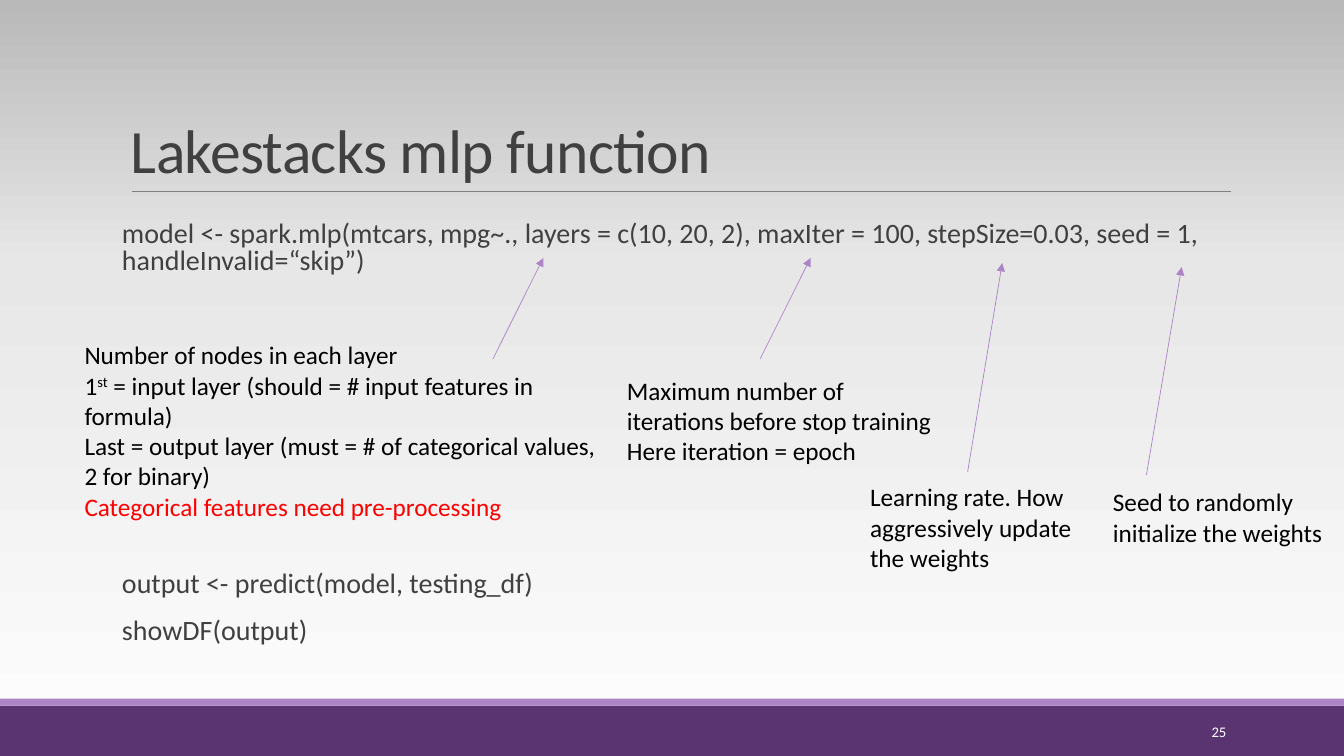
from copy import deepcopy

from lxml import etree
from pptx import Presentation
from pptx import util as u
from pptx.dml.color import RGBColor
from pptx.enum import shapes, text
from pptx.oxml import ns

WIDE, HIGH = u.Inches(13.33), u.Inches(7.5)
GREY, LILAC, PLUM = "404040", "AD84C6", "5A3471"
BLACK, RED, WHITE = "000000", "FF0000", "FFFFFF"


def tint(code):
    return RGBColor.from_string(code)


def across(share):
    """Length as a percentage of the slide's width."""
    return round(WIDE * share / 100)


def down(share):
    """Length as a percentage of the slide's height."""
    return round(HIGH * share / 100)


def place(left, top, width, height):
    return across(left), down(top), across(width), down(height)


def shade(slide, stops):
    """Fill the background with a gradient rising from the bottom edge."""
    fill = slide.background.fill
    fill.gradient()
    fill.gradient_angle = 90
    first = slide.element.find(".//" + ns.qn("a:gs"))
    for _ in stops[2:]:
        first.addnext(deepcopy(first))
    for stop, (spot, code) in zip(fill.gradient_stops, stops):
        stop.position = spot
        stop.color.rgb = tint(code)


def band(slide, top, height, code):
    bar = slide.shapes.add_shape(
        shapes.MSO_SHAPE.RECTANGLE, *place(0, top, 100, height))
    bar.shadow.inherit = False
    bar.fill.solid()
    bar.fill.fore_color.rgb = tint(code)
    bar.line.fill.background()


def line(slide, start, end, code, arrow=False):
    link = slide.shapes.add_connector(
        shapes.MSO_CONNECTOR.STRAIGHT, across(start[0]), down(start[1]),
        across(end[0]), down(end[1]))
    link.line.color.rgb = tint(code)
    link.line.width = u.Pt(0.5)
    if arrow:
        etree.SubElement(link.line._get_or_add_ln(), ns.qn("a:tailEnd"),
                         type="triangle")
    etree.SubElement(link._element.spPr, ns.qn("a:effectLst"))


def write(slide, box, lines, size, code, anchor="TOP", inset=0.1):
    """Add a text box; parts of a line between ^ marks are superscript."""
    frame = slide.shapes.add_textbox(*place(*box)).text_frame
    frame.word_wrap = True
    frame.vertical_anchor = text.MSO_ANCHOR[anchor]
    frame.margin_left = frame.margin_right = u.Inches(inset)
    for num, words in enumerate(lines):
        para = frame.add_paragraph() if num else frame.paragraphs[0]
        for part, piece in enumerate(words.split("^")):
            run = para.add_run()
            run.text = piece
            run.font.name = "Calibri"
            run.font.size = u.Pt(size)
            run.font.color.rgb = tint(code)
            if part % 2:
                run.font._element.set("baseline", "30000")
    return frame


def title(slide, words):
    frame = write(slide, (9, 4.13, 82.5, 21.2), [words], 44, GREY, "BOTTOM")
    para = frame.paragraphs[0]
    para.line_spacing = 0.85
    para.runs[0].font._element.set("spc", "-50")


def code(slide, top, lines):
    frame = write(slide, (9.08, top, 84.25, 12), lines, 20, GREY, inset=0)
    for num, para in enumerate(frame.paragraphs):
        para.line_spacing = 0.8
        para.space_before = u.Pt(12 if num else 0)
        para.space_after = u.Pt(2)


def note(slide, box, lines, start, end):
    """Explain one argument and point an arrow at it."""
    line(slide, start, end, LILAC, arrow=True)
    return write(slide, box, lines, 18, BLACK)


def main():
    deck = Presentation()
    deck.slide_width, deck.slide_height = WIDE, HIGH
    slide = deck.slides.add_slide(deck.slide_layouts[6])

    # Backdrop
    shade(slide, [(0, "FEFEFE"), (0.65, "E7E7E7"), (1, "B9B9B9")])
    band(slide, 93.33, 6.67, PLUM)
    band(slide, 92.4, 0.93, LILAC)
    line(slide, (9.83, 25.33), (91.57, 25.33), "808080")

    # Title and code
    title(slide, "Lakestacks mlp function")
    code(slide, 28.67, ["model <- spark.mlp(mtcars, mpg~., layers = c(10, 20, 2), "
                        "maxIter = 100, stepSize=0.03, seed = 1, "
                        "handleInvalid=“skip”)"])
    code(slide, 75.07, ["output <- predict(model, testing_df)",
                        "showDF(output)"])

    # Notes on the arguments
    layers = note(slide, (5.55, 44.27, 39.9, 25.6), [
        "Number of nodes in each layer",
        "1^st^ = input layer (should = # input features in formula)",
        "Last = output layer (must = # of categorical values, 2 for binary)",
        "Categorical features need pre-processing",
    ], (36.68, 47.47), (40.43, 34.13))
    layers.paragraphs[-1].runs[0].font.color.rgb = tint(RED)
    note(slide, (45.91, 48.93, 25, 13.47), [
        "Maximum number of iterations before stop training",
        "Here iteration = epoch",
    ], (56.56, 47.47), (60.31, 34.13))
    note(slide, (64, 63.07, 17.25, 13.47),
         ["Learning rate. How aggressively update the weights"],
         (72, 62.4), (74.57, 34.8))
    note(slide, (82.07, 63.73, 17.25, 9.47),
         ["Seed to randomly initialize the weights"],
         (85.3, 62.8), (87.92, 35.33))

    # Slide number
    page = write(slide, (81.25, 94.13, 10.73, 5.33), ["25"], 10.5, WHITE,
                 "MIDDLE")
    page.paragraphs[0].alignment = text.PP_ALIGN.RIGHT

    deck.save("out.pptx")


if __name__ == "__main__":
    main()
